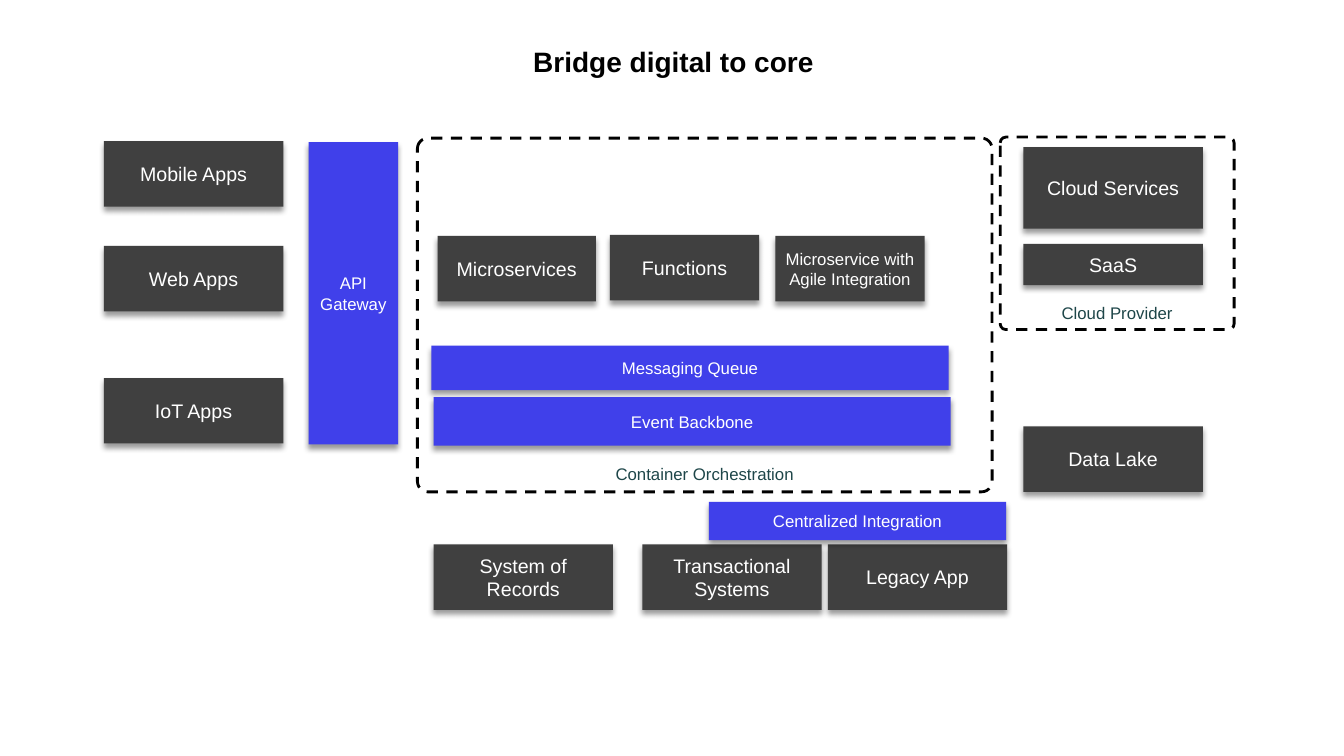
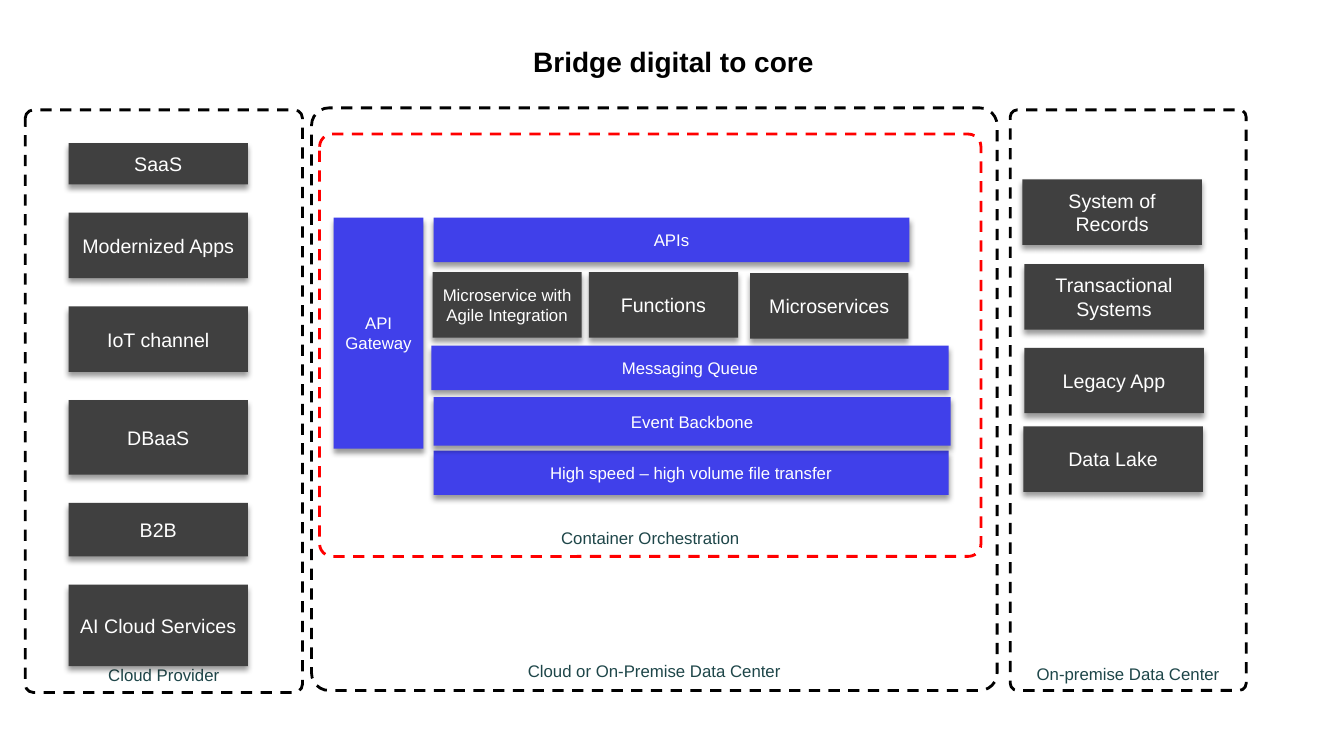
import dataclasses

import lxml.etree
import pptx
import pptx.dml.color
import pptx.enum.dml
import pptx.enum.shapes
import pptx.enum.text
import pptx.oxml.ns
import pptx.util

Inches, Pt = pptx.util.Inches, pptx.util.Pt
RGB = pptx.dml.color.RGBColor.from_string
MSO_SHAPE = pptx.enum.shapes.MSO_SHAPE
ANCHOR = pptx.enum.text.MSO_ANCHOR
CENTER = pptx.enum.text.PP_ALIGN.CENTER


@dataclasses.dataclass(frozen=True)
class Theme:
    font: str = "Arial"
    black: str = "000000"
    white: str = "FFFFFF"
    system: str = "404040"
    integration: str = "4040EA"
    highlight: str = "FF0000"
    caption: str = "1E4649"
    title_size: int = 20
    system_size: int = 14
    small_size: int = 12


THEME = Theme()


def write(text_frame, text, size, color, bold=False):
    paragraph = text_frame.paragraphs[0]
    paragraph.alignment = CENTER
    run = paragraph.add_run()
    run.text = text
    run.font.name = THEME.font
    run.font.size = Pt(size)
    run.font.bold = bold
    run.font.color.rgb = RGB(color)


def add_block(slide, text, box, fill, size):
    """Add a filled rectangle with a soft shadow falling straight down."""
    block = slide.shapes.add_shape(MSO_SHAPE.RECTANGLE, *map(Inches, box))
    block.fill.solid()
    block.fill.fore_color.rgb = RGB(fill)
    block.line.fill.background()
    block.shadow.inherit = False
    effects = block._element.spPr.find(pptx.oxml.ns.qn("a:effectLst"))
    shadow = lxml.etree.SubElement(
        effects, pptx.oxml.ns.qn("a:outerShdw"), blurRad=str(Pt(4)),
        dist=str(Pt(3)), dir="5400000", algn="t", rotWithShape="0")
    shade = lxml.etree.SubElement(
        shadow, pptx.oxml.ns.qn("a:srgbClr"), val=THEME.black)
    lxml.etree.SubElement(shade, pptx.oxml.ns.qn("a:alpha"), val="40000")
    frame = block.text_frame
    frame.word_wrap = True
    frame.margin_left = frame.margin_right = Inches(0.08)
    frame.vertical_anchor = ANCHOR.MIDDLE
    write(frame, text, size, THEME.white)


SYSTEM_W, SYSTEM_H = 1.78, 0.65
SERVICE_W = 1.48
BAR_X, BAR_W, BAR_H = 4.3, 5.13, 0.44
RIGHT_X = 10.15
AGILE = "Microservice with Agile Integration"

# Blocks that keep their place on both slides
shared_systems = [("Data Lake", (RIGHT_X, 4.23, SYSTEM_W, SYSTEM_H))]
shared_bars = [
    ("Messaging Queue", (4.28, 3.43, BAR_W, BAR_H)),
    ("Event Backbone", (BAR_X, 3.94, BAR_W, 0.48)),
]

# Cloud channels stacked with an equal gap
cloud_channels = []
channel_y, channel_gap = 1.42, 0.28
for name, height in [("SaaS", 0.41), ("Modernized Apps", SYSTEM_H),
                     ("IoT channel", SYSTEM_H), ("DBaaS", 0.74),
                     ("B2B", 0.53), ("AI Cloud Services", 0.81)]:
    cloud_channels.append((name, (0.68, channel_y, SYSTEM_W, height)))
    channel_y += height + channel_gap

architectures = [
    {
        "zones": [
            ("Cloud Provider", (9.92, 1.36, 2.32, 1.91), THEME.black),
            ("Container Orchestration", (4.14, 1.37, 5.7, 3.51), THEME.black),
        ],
        "systems": [
            ("Mobile Apps", (1.03, 1.4, SYSTEM_W, SYSTEM_H)),
            ("Web Apps", (1.03, 2.44, SYSTEM_W, SYSTEM_H)),
            ("IoT Apps", (1.03, 3.75, SYSTEM_W, SYSTEM_H)),
            ("Cloud Services", (RIGHT_X, 1.46, SYSTEM_W, 0.81)),
            ("SaaS", (RIGHT_X, 2.42, SYSTEM_W, 0.41)),
            ("Microservices", (4.34, 2.34, 1.57, SYSTEM_H)),
            ("Functions", (6.05, 2.33, SERVICE_W, SYSTEM_H)),
            ("System of Records", (BAR_X, 5.4, SYSTEM_W, SYSTEM_H)),
            ("Transactional Systems", (6.37, 5.4, SYSTEM_W, SYSTEM_H)),
            ("Legacy App", (8.21, 5.4, SYSTEM_W, SYSTEM_H)),
        ],
        "agile": (7.69, 2.34, SERVICE_W, SYSTEM_H),
        "integration": [
            ("API Gateway", (3.06, 1.41, 0.89, 3)),
            ("Centralized Integration", (7.03, 4.98, 2.95, 0.38)),
        ],
    },
    {
        "zones": [
            ("Cloud Provider", (0.25, 1.09, 2.75, 5.78), THEME.black),
            ("Container Orchestration", (3.17, 1.33, 6.56, 4.19),
             THEME.highlight),
            ("On-premise Data Center", (10.02, 1.09, 2.34, 5.76),
             THEME.black),
            ("Cloud or On-Premise Data Center", (3.09, 1.07, 6.8, 5.78),
             THEME.black),
        ],
        "systems": cloud_channels + [
            ("Functions", (5.84, 2.7, SERVICE_W, SYSTEM_H)),
            ("Microservices", (7.44, 2.71, 1.57, SYSTEM_H)),
            ("System of Records", (10.14, 1.78, SYSTEM_W, SYSTEM_H)),
            ("Transactional Systems", (10.16, 2.62, SYSTEM_W, SYSTEM_H)),
            ("Legacy App", (10.16, 3.45, SYSTEM_W, SYSTEM_H)),
        ],
        "agile": (4.29, 2.7, SERVICE_W, SYSTEM_H),
        "integration": [
            ("API Gateway", (3.31, 2.16, 0.89, 2.29)),
            ("APIs", (BAR_X, 2.16, 4.72, BAR_H)),
            ("High speed – high volume file transfer",
             (BAR_X, 4.47, 5.11, BAR_H)),
        ],
    },
]

deck = pptx.Presentation()
deck.slide_width, deck.slide_height = Inches(13.33), Inches(7.5)

title_only = deck.slide_layouts[5]
heading = title_only.placeholders[0]
heading.left, heading.top = Inches(0.67), Inches(0.42)
heading.width, heading.height = Inches(12.02), Inches(0.38)
heading_frame = heading.text_frame
heading_frame.vertical_anchor = ANCHOR.MIDDLE
heading_frame.margin_left = heading_frame.margin_right = 0
heading_frame.margin_top = heading_frame.margin_bottom = 0

for architecture in architectures:
    slide = deck.slides.add_slide(title_only)
    write(slide.shapes.title.text_frame, "Bridge digital to core",
          THEME.title_size, THEME.black, bold=True)

    for caption, box, outline in architecture["zones"]:
        zone = slide.shapes.add_shape(
            MSO_SHAPE.ROUNDED_RECTANGLE, *map(Inches, box))
        zone.adjustments[0] = 0.03
        zone.shadow.inherit = False
        zone.fill.background()
        zone.line.color.rgb = RGB(outline)
        zone.line.width = Pt(2)
        zone.line.dash_style = pptx.enum.dml.MSO_LINE.DASH
        zone.text_frame.word_wrap = True
        zone.text_frame.vertical_anchor = ANCHOR.BOTTOM
        write(zone.text_frame, caption, THEME.small_size, THEME.caption)

    for name, box in architecture["systems"] + shared_systems:
        add_block(slide, name, box, THEME.system, THEME.system_size)
    add_block(slide, AGILE, architecture["agile"], THEME.system,
              THEME.small_size)
    for name, box in architecture["integration"] + shared_bars:
        add_block(slide, name, box, THEME.integration, THEME.small_size)

deck.save("out.pptx")
